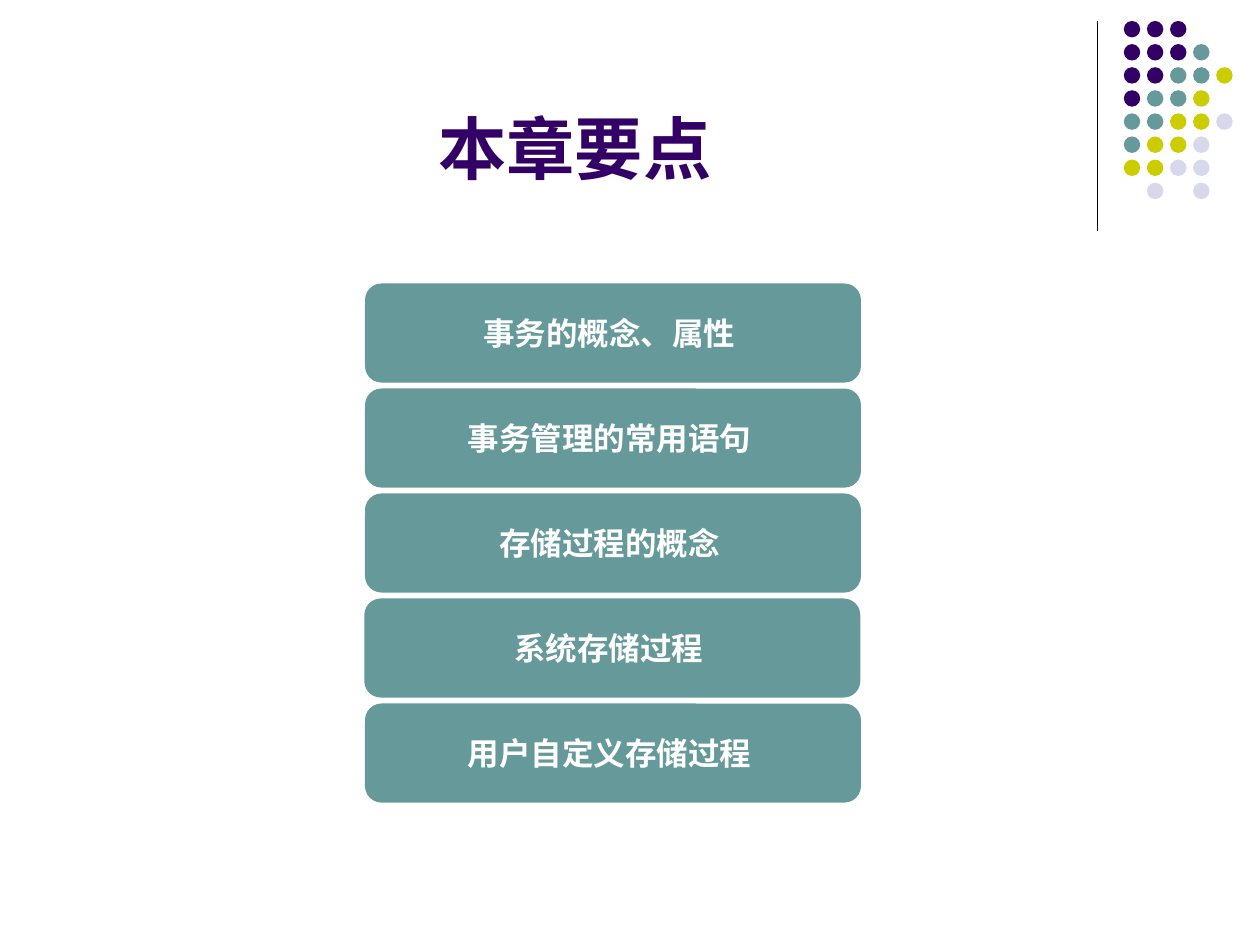
from dataclasses import dataclass

import pptx
import pptx.dml.color
import pptx.enum.shapes
import pptx.enum.text
import pptx.oxml.ns
import pptx.util
from lxml import etree

Pt = pptx.util.Pt
RGBColor = pptx.dml.color.RGBColor
Shapes = pptx.enum.shapes.MSO_SHAPE
Anchor = pptx.enum.text.MSO_ANCHOR

PURPLE = RGBColor(0x33, 0x00, 0x66)
TEAL = RGBColor(0x66, 0x99, 0x99)
OLIVE = RGBColor(0xCC, 0xCC, 0x00)
LAVENDER = RGBColor(0xD8, 0xD8, 0xEC)
WHITE = RGBColor(0xFF, 0xFF, 0xFF)
BLACK = RGBColor(0x00, 0x00, 0x00)

# One letter per dot, one string per row; a space leaves the place empty
DOT_COLORS = {"P": PURPLE, "T": TEAL, "O": OLIVE, "L": LAVENDER}
DOT_ROWS = ["PPP", "PPPT", "PPTTO", "PTTO", "TTOOL", "TOOL", "OOLL", " L L"]
DOT_LEFT, DOT_TOP, DOT_SIZE, DOT_PITCH = 642.2, 12, 9.4, 13.2

TOPIC_TOP, TOPIC_PITCH = 162, 60


@dataclass
class Box:
    left: float
    top: float
    width: float
    height: float


@dataclass
class Topic:
    text: str
    left: float = 208.6


# The trailing space is part of each centred line
TOPICS = [
    Topic("事务的概念、属性 "),
    Topic("事务管理的常用语句 "),
    Topic("存储过程的概念 "),
    Topic("系统存储过程 ", left=208.2),
    Topic("用户自定义存储过程 "),
]


def write_text(shape, text: str, *, size: float, color: RGBColor,
               anchor: Anchor, wrap: bool) -> None:
    frame = shape.text_frame
    frame.auto_size = pptx.enum.text.MSO_AUTO_SIZE.NONE
    frame.word_wrap = wrap
    frame.vertical_anchor = anchor
    paragraph = frame.paragraphs[0]
    paragraph.alignment = pptx.enum.text.PP_ALIGN.CENTER
    run = paragraph.add_run()
    run.text = text
    run.font.name = "Arial"
    run.font.size = Pt(size)
    run.font.bold = True
    run.font.color.rgb = color


def add_filled_shape(slide, kind: Shapes, box: Box, color: RGBColor):
    shape = slide.shapes.add_shape(
        kind, Pt(box.left), Pt(box.top), Pt(box.width), Pt(box.height))
    shape.shadow.inherit = False
    shape.fill.solid()
    shape.fill.fore_color.rgb = color
    shape.line.fill.background()
    return shape


def add_divider(slide, x: float, top: float, bottom: float) -> None:
    line = slide.shapes.add_connector(
        pptx.enum.shapes.MSO_CONNECTOR.STRAIGHT,
        Pt(x), Pt(top), Pt(x), Pt(bottom))
    line.line.color.rgb = BLACK
    line.line.width = Pt(0.75)
    properties = line._element.spPr
    etree.SubElement(properties, pptx.oxml.ns.qn("a:effectLst"))


def add_dots(slide) -> None:
    for row, letters in enumerate(DOT_ROWS):
        for column, letter in enumerate(letters):
            if letter in DOT_COLORS:
                box = Box(DOT_LEFT + column * DOT_PITCH,
                          DOT_TOP + row * DOT_PITCH, DOT_SIZE, DOT_SIZE)
                add_filled_shape(slide, Shapes.OVAL, box, DOT_COLORS[letter])


def add_title(slide, text: str) -> None:
    title = slide.shapes.title
    title.left, title.top = Pt(36), Pt(9.4)
    title.width, title.height = Pt(594), Pt(102)
    write_text(title, text, size=39, color=PURPLE,
               anchor=Anchor.BOTTOM, wrap=True)


def add_topics(slide) -> None:
    for index, topic in enumerate(TOPICS):
        box = Box(topic.left, TOPIC_TOP + index * TOPIC_PITCH, 283.4, 56.6)
        shape = add_filled_shape(
            slide, Shapes.FLOWCHART_ALTERNATE_PROCESS, box, TEAL)
        write_text(shape, topic.text, size=18, color=WHITE,
                   anchor=Anchor.MIDDLE, wrap=False)


def main() -> None:
    presentation = pptx.Presentation()
    presentation.slide_width = Pt(720)
    presentation.slide_height = Pt(540)
    title_only = presentation.slide_layouts[5]
    slide = presentation.slides.add_slide(title_only)

    # Corner decoration
    add_divider(slide, x=627, top=12, bottom=132)
    add_dots(slide)

    # Chapter topics
    add_title(slide, "本章要点 ")
    add_topics(slide)
    presentation.save("out.pptx")


if __name__ == "__main__":
    main()
